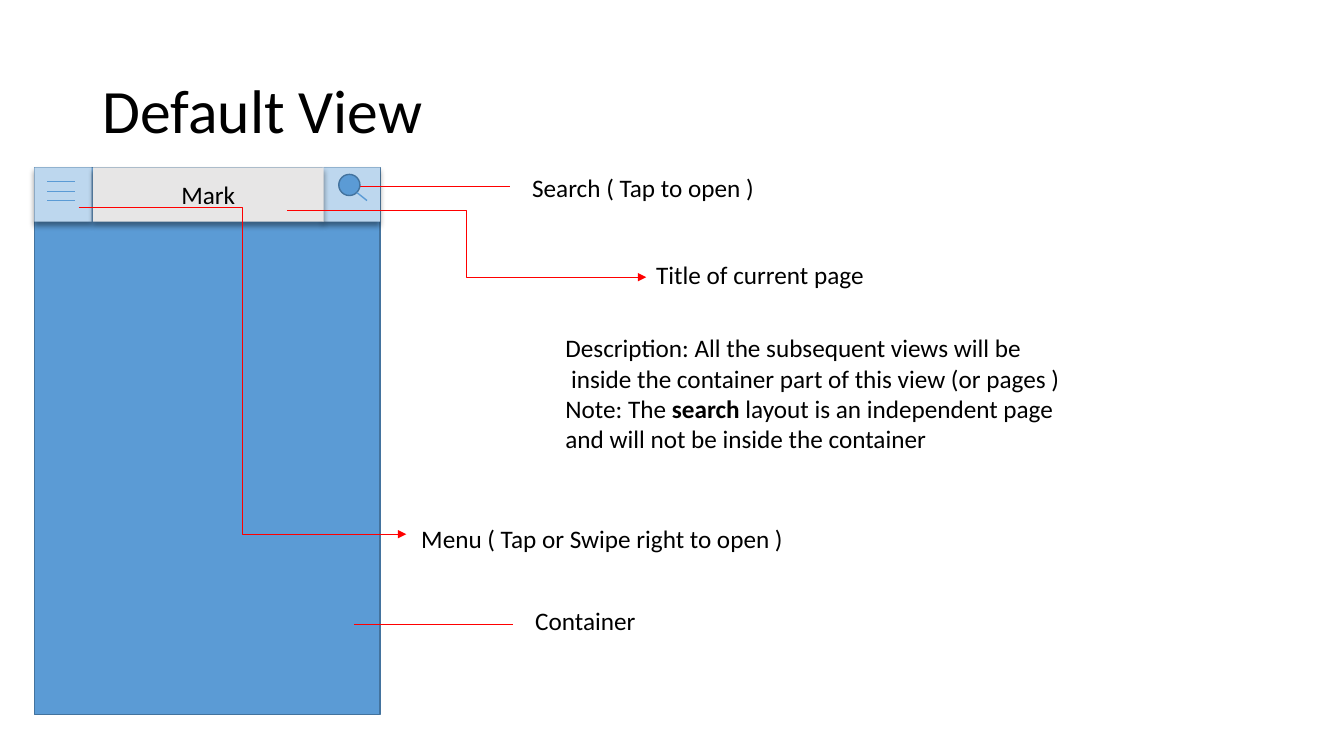
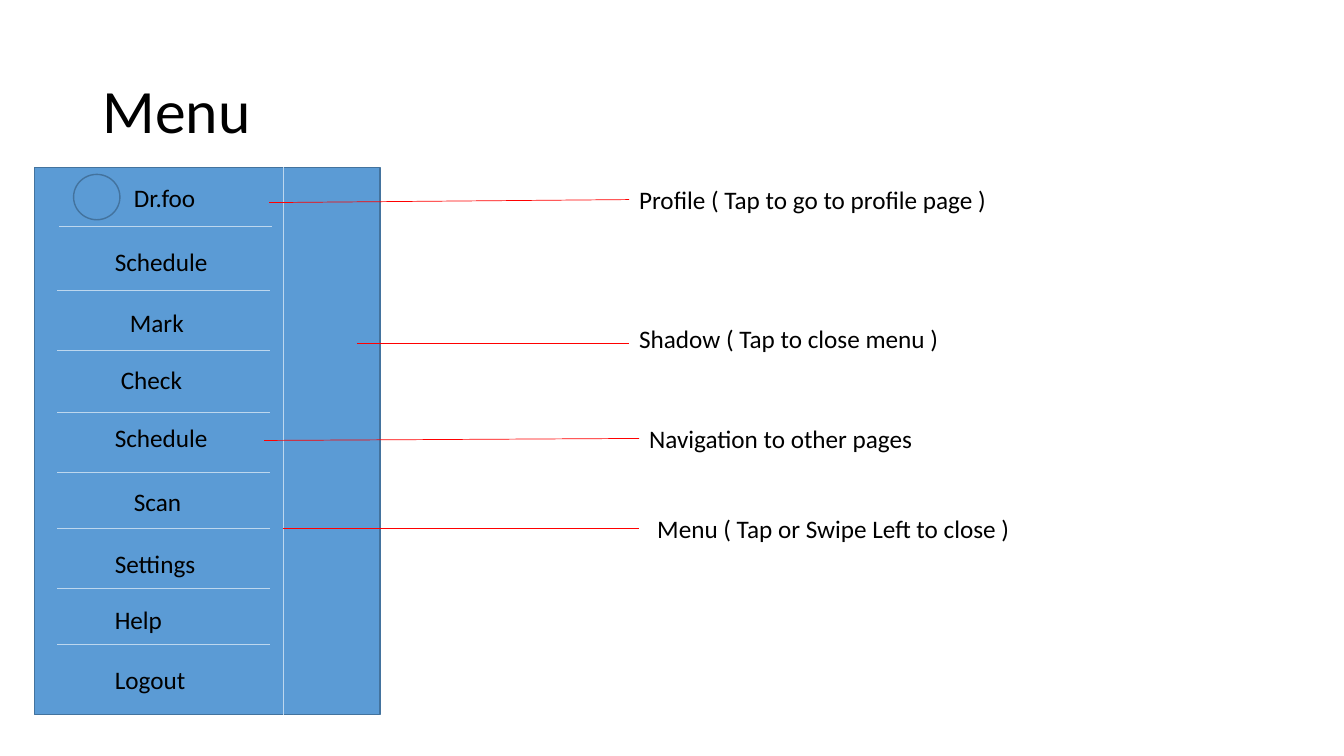
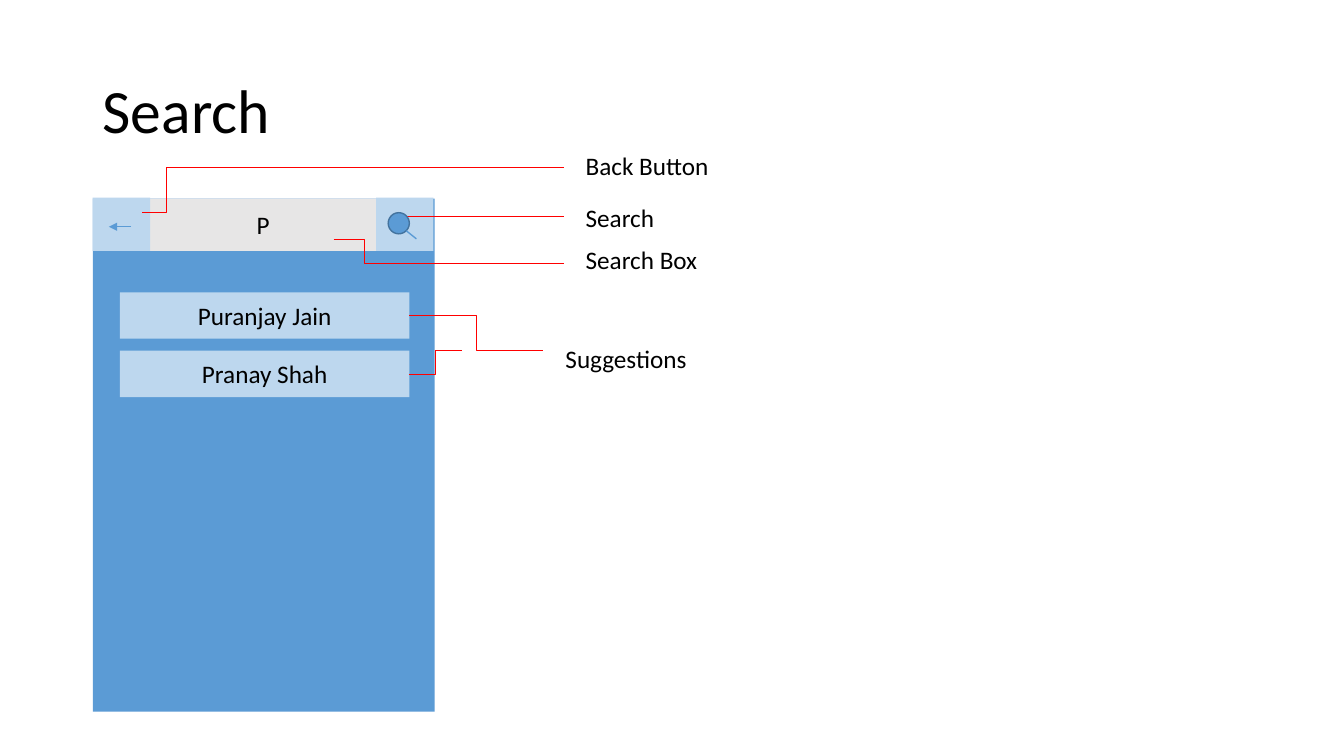
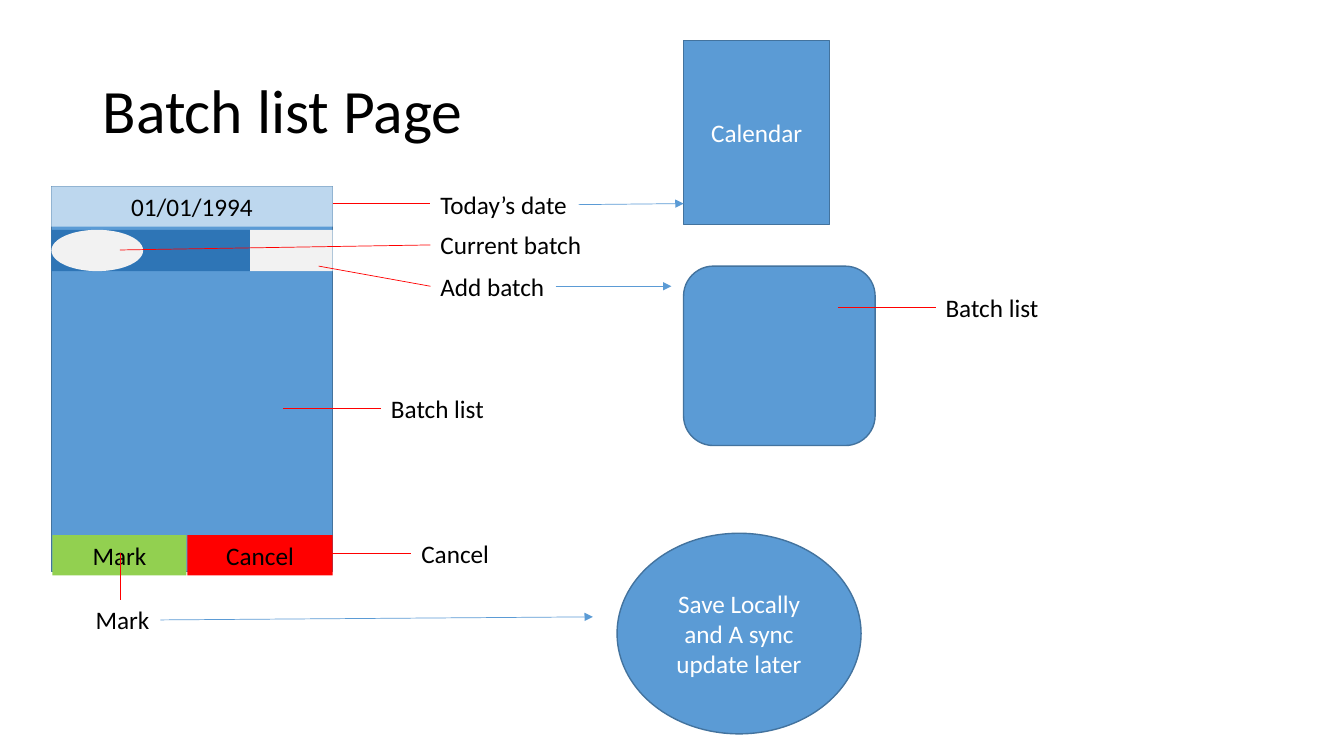
from lxml import etree
from pptx import Presentation
from pptx.dml.color import RGBColor
from pptx.enum.shapes import MSO_CONNECTOR as Link, MSO_SHAPE as Form
from pptx.enum.text import MSO_ANCHOR as Anchor, MSO_AUTO_SIZE as Fit, PP_ALIGN as Align
from pptx.oxml import parse_xml
from pptx.oxml.ns import nsdecls, qn
from pptx.util import Inches, Pt

BLACK = RGBColor(0x00, 0x00, 0x00)
WHITE = RGBColor(0xFF, 0xFF, 0xFF)
BLUE = RGBColor(0x5B, 0x9B, 0xD5)
EDGE = RGBColor(0x43, 0x73, 0x9E)
PALE = RGBColor(0xBD, 0xD7, 0xEE)
DEEP = RGBColor(0x2E, 0x75, 0xB6)
GREY = RGBColor(0xE7, 0xE6, 0xE6)
LIGHT = RGBColor(0xF2, 0xF2, 0xF2)
RED = RGBColor(0xFF, 0x00, 0x00)
GREEN = RGBColor(0x92, 0xD0, 0x50)

SHADOW = (f'<a:outerShdw {nsdecls("a")} blurRad="{Pt(4)}" dist="{Pt(3)}" dir="5400000" '
          'algn="t" rotWithShape="0"><a:srgbClr val="000000"><a:alpha val="40000"/>'
          '</a:srgbClr></a:outerShdw>')


def write(frame, text, size=18, color=BLACK, align=Align.LEFT, spacing=None):
    """Fill a frame; newlines split paragraphs, ** switches bold on and off."""
    for number, line in enumerate(text.split("\n")):
        para = frame.add_paragraph() if number else frame.paragraphs[0]
        para.alignment = align
        para.line_spacing = spacing
        for part, words in enumerate(line.split("**")):
            span = para.add_run()
            span.text = words
            span.font.name = "Calibri"
            span.font.size = Pt(size)
            span.font.bold = part % 2 == 1
            span.font.color.rgb = color


class Wireframe:
    """The deck's style and the page being drawn."""

    def __init__(self):
        self.deck = Presentation()
        self.deck.slide_width = Inches(13.33)
        self.deck.slide_height = Inches(7.5)
        self.page = None

    def new_page(self, title):
        self.page = self.deck.slides.add_slide(self.deck.slide_layouts[6])
        box = self.page.shapes.add_textbox(Inches(0.92), Inches(0.4), Inches(11.5), Inches(1.45))
        box.text_frame.word_wrap = True
        box.text_frame.vertical_anchor = Anchor.MIDDLE
        write(box.text_frame, title, size=44, spacing=0.9)

    def shape(self, left, top, width, height, fill=BLUE, edge=None, text="",
              color=BLACK, form=Form.RECTANGLE, shadow=False):
        box = self.page.shapes.add_shape(
            form, Inches(left), Inches(top), Inches(width), Inches(height))
        box.fill.solid()
        box.fill.fore_color.rgb = fill
        if edge is None:
            box.line.fill.background()
        else:
            box.line.color.rgb = edge
            box.line.width = Pt(1)
        box.shadow.inherit = False
        if shadow:
            box.element.spPr.find(qn("a:effectLst")).append(parse_xml(SHADOW))
        if text:
            box.text_frame.word_wrap = True
            box.text_frame.vertical_anchor = Anchor.MIDDLE
            write(box.text_frame, text, color=color, align=Align.CENTER)

    def label(self, left, top, width, text, height=0.4, wrap=False):
        box = self.page.shapes.add_textbox(
            Inches(left), Inches(top), Inches(width), Inches(height))
        box.text_frame.word_wrap = wrap
        box.text_frame.auto_size = Fit.SHAPE_TO_FIT_TEXT
        write(box.text_frame, text)

    def line(self, x1, y1, x2, y2, color=RED, width=0.5, arrow=False, kind=Link.STRAIGHT):
        line = self.page.shapes.add_connector(
            kind, Inches(x1), Inches(y1), Inches(x2), Inches(y2))
        line.line.color.rgb = color
        line.line.width = Pt(width)
        properties = line.element.spPr
        if arrow:
            etree.SubElement(properties.find(qn("a:ln")), qn("a:tailEnd"), type="triangle")
        etree.SubElement(properties, qn("a:effectLst"))

    def elbow(self, x1, y1, x2, y2, arrow=False):
        self.line(x1, y1, x2, y2, arrow=arrow, kind=Link.ELBOW)

    def phone(self):
        self.shape(0.34, 1.66, 3.43, 5.43, edge=EDGE)

    def magnifier(self, left, top):
        self.shape(left, top, 0.21, 0.21, edge=EDGE, form=Form.OVAL)
        self.line(left + 0.18, top + 0.18, left + 0.28, top + 0.26, BLUE, 1)


def default_view(frame):
    frame.new_page("Default View")
    frame.phone()
    # Title bar
    for left in (0.34, 3.2):
        frame.shape(left, 1.66, 0.57, 0.54, PALE, shadow=True)
    frame.shape(0.92, 1.66, 2.29, 0.54, GREY, text="Mark", shadow=True)
    # Callouts
    frame.elbow(0.78, 2.06, 4.03, 5.3, arrow=True)
    frame.elbow(2.85, 2.09, 6.41, 2.75, arrow=True)
    frame.line(3.48, 1.85, 5.06, 1.85)
    frame.line(3.51, 6.19, 5.09, 6.19)
    frame.label(5.18, 1.66, 2.43, "Search ( Tap to open )")
    frame.label(6.41, 2.52, 2.29, "Title of current page")
    frame.label(4.08, 5.14, 3.84, "Menu ( Tap or Swipe right to open )")
    frame.label(5.21, 5.96, 1.21, "Container")
    frame.label(5.51, 3.25, 5.16,
                "Description: All the subsequent views will be\n"
                " inside the container part of this view (or pages )\n"
                "Note: The **search** layout is an independent page\n"
                "and will not be inside the container", height=1.31)
    # Icons
    for y in (1.8, 1.9, 1.99):
        frame.line(0.47, y, 0.74, y, BLUE, 1)
    frame.magnifier(3.36, 1.73)


def menu(frame):
    frame.new_page("Menu")
    frame.phone()
    frame.line(2.81, 1.66, 2.81, 7.09, PALE)
    # Entries and dividers
    frame.shape(0.73, 1.73, 0.46, 0.45, edge=EDGE, form=Form.OVAL)
    for left, top, text in (
            (1.23, 1.76, "Dr.foo"), (1.04, 2.39, "Schedule"), (1.19, 3, "Mark"),
            (1.1, 3.57, "Check"), (1.04, 4.14, "Schedule"), (1.23, 4.78, "Scan"),
            (1.04, 5.39, "Settings"), (1.04, 5.95, "Help"), (1.04, 6.54, "Logout")):
        frame.label(left, top, 1.16, text, wrap=True)
    frame.line(2.7, 2.25, 0.59, 2.25, PALE)
    for y in (2.88, 3.48, 4.09, 4.69, 5.24, 5.84, 6.39):
        frame.line(2.68, y, 0.57, y, PALE)
    # Callouts: line ends, then label place
    for x1, y1, x2, y2, left, top, width, text in (
            (2.67, 2.01, 6.24, 1.98, 6.24, 1.78, 3.69, "Profile ( Tap to go to profile page )"),
            (3.54, 3.41, 6.24, 3.41, 6.24, 3.16, 3.21, "Shadow ( Tap to close menu )"),
            (2.62, 4.37, 6.34, 4.35, 6.34, 4.15, 2.84, "Navigation to other pages"),
            (2.81, 5.24, 6.34, 5.24, 6.42, 5.04, 3.75, "Menu ( Tap or Swipe Left to close )")):
        frame.line(x1, y1, x2, y2)
        frame.label(left, top, width, text)


def search(frame):
    frame.new_page("Search")
    frame.shape(0.92, 1.97, 3.39, 5.09)
    # Search bar
    frame.shape(1.49, 1.97, 2.24, 0.52, GREY, text="P")
    for left in (0.92, 3.73):
        frame.shape(left, 1.96, 0.57, 0.53, PALE)
    frame.line(1.3, 2.25, 1.08, 2.25, BLUE, arrow=True)
    # Suggestions
    for top, name in ((2.9, "Puranjay Jain"), (3.48, "Pranay Shah")):
        frame.shape(1.19, top, 2.87, 0.46, PALE, text=name)
    frame.elbow(4.06, 3.13, 5.39, 3.48)
    frame.elbow(4.06, 3.71, 4.58, 3.48)
    frame.label(5.51, 3.36, 1.42, "Suggestions")
    # Callouts
    frame.elbow(1.41, 2.11, 1.89, 1.66)
    frame.elbow(3.31, 2.37, 3.92, 2.61)
    for x, y, top, width, text in (
            (1.79, 1.66, 1.44, 1.44, "Back Button"),
            (4.01, 2.15, 1.96, 0.89, "Search"),
            (3.81, 2.61, 2.37, 1.39, "Search Box")):
        frame.line(x, y, 5.59, y)
        frame.label(5.71, top, width, text)
    frame.magnifier(3.85, 2.11)


def batch_list(frame):
    frame.new_page("Batch list Page")
    # Phone with date, batch bar and buttons
    frame.shape(0.51, 1.85, 2.79, 3.82, edge=EDGE)
    frame.shape(0.51, 1.85, 2.79, 0.4, PALE, text="01/01/1994")
    frame.shape(0.51, 2.28, 2.79, 0.41, DEEP)
    frame.shape(0.51, 2.28, 0.91, 0.41, LIGHT, form=Form.OVAL)
    frame.shape(2.48, 2.28, 0.82, 0.41, LIGHT)
    frame.shape(1.86, 5.31, 1.44, 0.4, RED, text="Cancel")
    frame.shape(0.52, 5.31, 1.33, 0.4, GREEN, text="Mark")
    # Targets
    frame.shape(6.78, 0.4, 1.45, 1.83, edge=EDGE, text="Calendar", color=WHITE)
    frame.shape(6.78, 2.64, 1.9, 1.78, edge=EDGE, form=Form.ROUNDED_RECTANGLE)
    frame.shape(6.12, 5.29, 2.42, 1.99, edge=EDGE, form=Form.OVAL, color=WHITE,
                text="Save Locally and A sync update later")
    # Callouts: line ends, then label place
    for x1, y1, x2, y2, left, top, width, text in (
            (3.3, 2.02, 4.27, 2.02, 4.27, 1.83, 1.47, "Today’s date"),
            (1.19, 2.48, 4.27, 2.43, 4.27, 2.23, 1.61, "Current batch"),
            (3.16, 2.64, 4.27, 2.84, 4.27, 2.64, 1.24, "Add batch"),
            (8.31, 3.05, 9.28, 3.05, 9.28, 2.85, 1.13, "Batch list"),
            (2.81, 4.05, 3.78, 4.05, 3.78, 3.85, 1.13, "Batch list"),
            (3.11, 5.49, 4.08, 5.49, 4.08, 5.29, 0.88, "Cancel"),
            (1.19, 5.49, 1.19, 5.95, 0.85, 5.95, 0.74, "Mark")):
        frame.line(x1, y1, x2, y2)
        frame.label(left, top, width, text)
    # Arrows to the targets
    for ends in ((5.74, 2.03, 6.78, 2.02), (5.51, 2.84, 6.66, 2.84), (1.59, 6.15, 5.88, 6.12)):
        frame.line(*ends, color=BLUE, arrow=True)


def main():
    frame = Wireframe()
    for draw in (default_view, menu, search, batch_list):
        draw(frame)
    frame.deck.save("out.pptx")


if __name__ == "__main__":
    main()
